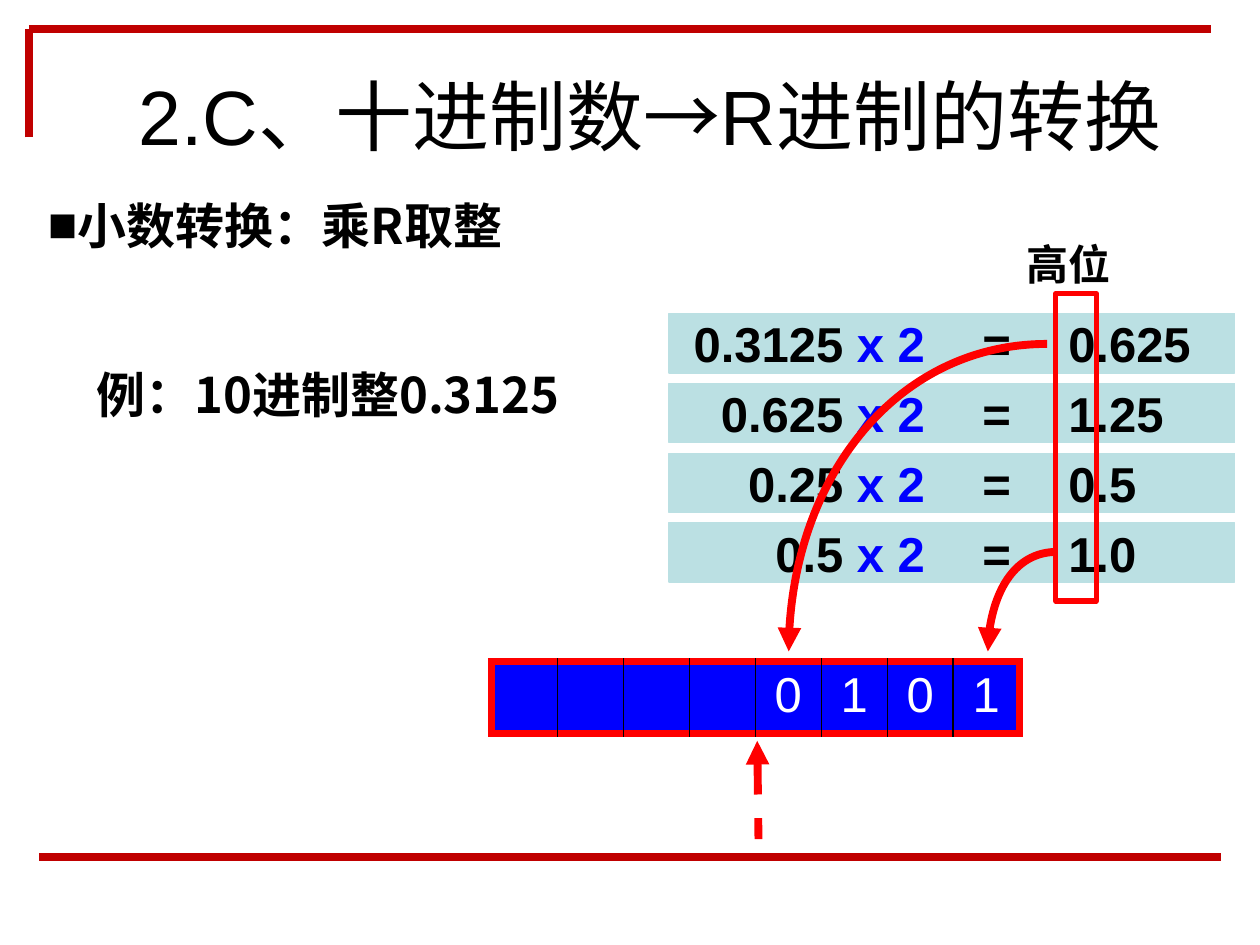
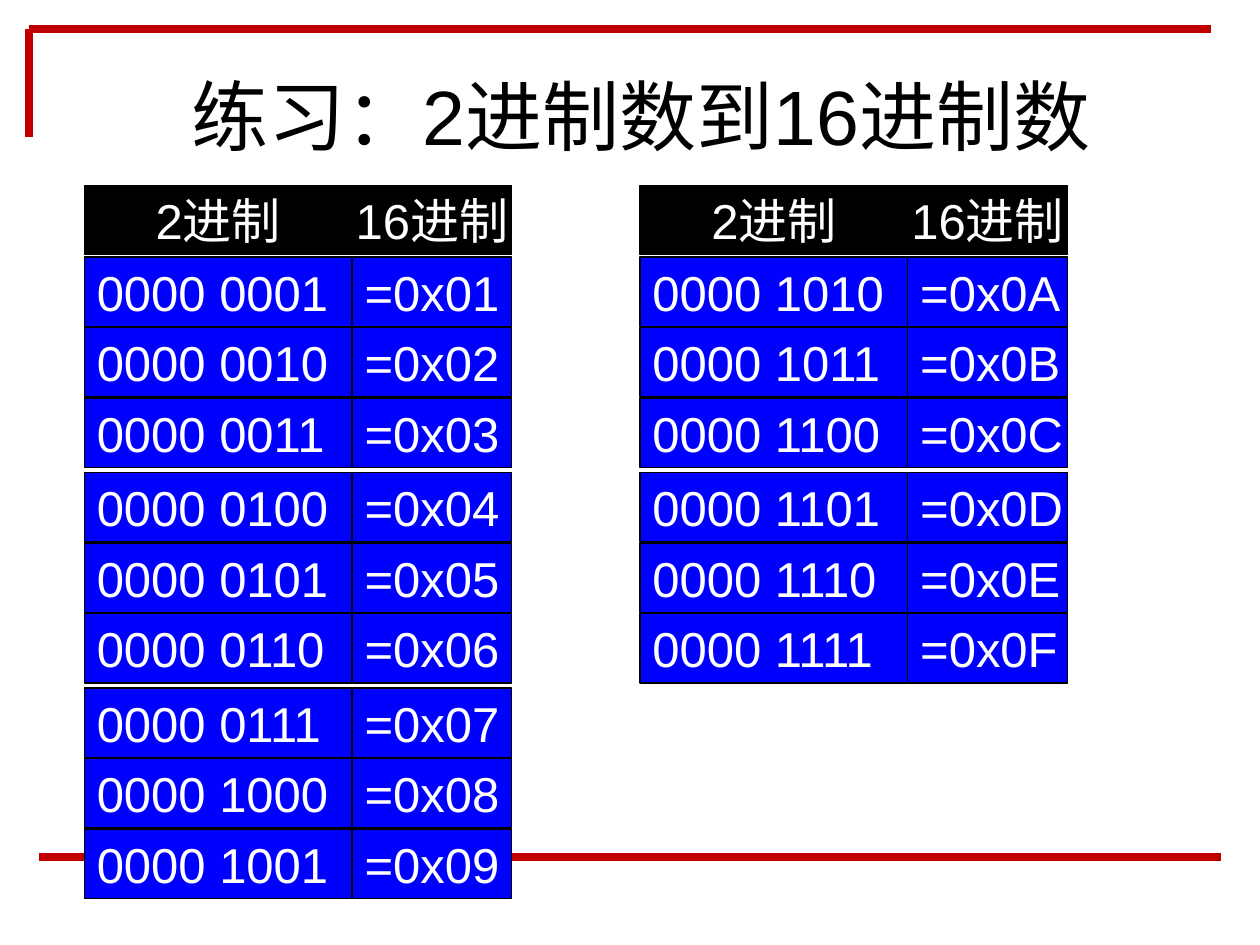
from lxml.etree import SubElement
from pptx import Presentation
from pptx.dml.color import RGBColor
from pptx.enum.dml import MSO_LINE
from pptx.enum.shapes import MSO_CONNECTOR as Connector, MSO_SHAPE as Preset
from pptx.enum.text import MSO_ANCHOR as Anchor, MSO_AUTO_SIZE as AutoSize, PP_ALIGN as Align
from pptx.oxml.ns import qn
from pptx.util import Inches, Pt

BLACK, WHITE, BLUE, RED = "000000", "FFFFFF", "0000FF", "FF0000"
FRAME_RED, PALE_TEAL = "C00000", "BBE0E3"
LATIN, CHINESE = "Arial", "Noto Sans CJK SC"
THICK = 4.5


def color(value):
    return RGBColor.from_string(value)


def inches(*lengths):
    return [Inches(length) for length in lengths]


def place(shape, box):
    shape.left, shape.top, shape.width, shape.height = inches(*box)


def add_span(para, text, size, ink=BLACK, font=LATIN, bold=False):
    span = para.add_run()
    span.text = text
    span.font.size = Pt(size)
    span.font.name = font
    span.font.bold = bold
    span.font.color.rgb = color(ink)
    SubElement(span.font._element, qn("a:ea"), typeface=CHINESE)


def prepare_text(shape, align=Align.LEFT, wrap=False):
    frame = shape.text_frame
    frame.auto_size = AutoSize.NONE
    frame.word_wrap = wrap
    frame.vertical_anchor = Anchor.MIDDLE
    para = frame.paragraphs[0]
    para.alignment = align
    para.space_before = Pt(0)
    return para


def style_line(shape, ink, width, arrow=None):
    shape.line.color.rgb = color(ink)
    shape.line.width = Pt(width)
    if arrow:
        outline = shape.line._get_or_add_ln()
        SubElement(outline, qn("a:" + arrow), type="triangle")


def add_line(page, start, end, ink, dash=None, arrow=None):
    line = page.shapes.add_connector(Connector.STRAIGHT, *inches(*start, *end))
    line.line.color.rgb = color(ink)
    if dash:
        line.line.dash_style = dash
    style_line(line, ink, THICK, arrow)
    SubElement(line.element.spPr, qn("a:effectLst"))
    return line


def add_box(shapes, box, fill, outline, width=0.75):
    shape = shapes.add_shape(Preset.RECTANGLE, *inches(*box))
    shape.shadow.inherit = False
    if fill:
        shape.fill.solid()
        shape.fill.fore_color.rgb = color(fill)
    else:
        shape.fill.background()
    style_line(shape, outline, width)
    return shape


def add_frame_to_master(deck, page):
    tree = deck.slide_master.placeholders[0].element.getparent()
    corner = (0.23, 0.23)
    for start, end in [((0.23, 1.09), corner), (corner, (9.61, 0.23)), ((0.31, 6.8), (9.69, 6.8))]:
        tree.append(add_line(page, start, end, FRAME_RED).element)


def set_title(page, box, spans):
    title = page.shapes.title
    place(title, box)
    para = prepare_text(title, Align.CENTER, wrap=True)
    for text, font in spans:
        add_span(para, text, 44, font=font)


def set_method(body, box, text):
    place(body, box)
    para = prepare_text(body)
    properties = para._p.get_or_add_pPr()
    properties.set("marL", "0")
    properties.set("indent", "0")
    SubElement(properties, qn("a:buChar"), char="■")
    add_span(para, text, 28, font=CHINESE, bold=True)


def add_example(page, box, text):
    label = page.shapes.add_textbox(*inches(*box))
    add_span(prepare_text(label), text, 28, font=CHINESE, bold=True)


def add_equation(page, box, factor, product):
    left, top, width, height = box
    factor_width, equals_width = 2.13, 0.94
    product_left = factor_width + equals_width
    parts = [
        (0, factor_width, Align.RIGHT, [(factor + " ", BLACK), ("x 2", BLUE)]),
        (product_left, width - product_left, Align.LEFT, [(product, BLACK)]),
        (factor_width, equals_width, Align.CENTER, [("=", BLACK)]),
    ]
    group = page.shapes.add_group_shape()
    for offset, part_width, align, spans in parts:
        part = add_box(group.shapes, (left + offset, top, part_width, height), PALE_TEAL, PALE_TEAL)
        para = prepare_text(part, align)
        for text, ink in spans:
            add_span(para, text, 28, ink, bold=True)


def add_equations(page, box, rows):
    left, top, width, height = box
    row_height = 0.47
    pitch = (height - row_height) / (len(rows) - 1)
    for index, (factor, product) in enumerate(rows):
        add_equation(page, (left, top + index * pitch, width, row_height), factor, product)


def add_digit_marker(page, box, label):
    left, top, width, height = box
    label_height = 0.47
    group = page.shapes.add_group_shape()
    caption = add_box(group.shapes, (left, top, width, label_height), WHITE, WHITE)
    caption.text_frame.margin_left = caption.text_frame.margin_right = 0
    add_span(prepare_text(caption), label, 24, bold=True)
    column = (left + 0.23, top + label_height, 0.32, height - label_height)
    add_box(group.shapes, column, None, RED, 3)


def add_curved_arrow(page, box):
    left, top, width, height = inches(*box)
    builder = page.shapes.build_freeform(left + width, top)
    builder.add_line_segments([(left, top + height)], close=False)
    curve = builder.convert_to_shape()
    curve.shadow.inherit = False
    curve.fill.background()
    style_line(curve, RED, THICK, "tailEnd")
    segment = next(curve.element.iter(qn("a:lnTo")))
    segment.tag = qn("a:cubicBezTo")
    controls = [(int(width * 0.44), 0), (0, int(height * 0.44))]
    for index, (x, y) in enumerate(controls):
        point = SubElement(segment, qn("a:pt"), x=str(x), y=str(y))
        segment.insert(index, point)


def set_borders(cell, borders):
    properties = cell._tc.get_or_add_tcPr()
    for index, (side, ink, width) in enumerate(borders):
        border = SubElement(properties, qn("a:ln" + side), w=str(Pt(width)))
        fill = SubElement(border, qn("a:solidFill"))
        SubElement(fill, qn("a:srgbClr"), val=ink)
        properties.insert(index, border)


def add_register(page, box, bits):
    table = page.shapes.add_table(1, len(bits), *inches(*box)).table
    table.first_row = table.horz_banding = False
    outer, inner = (RED, THICK), (BLACK, 1)
    last = len(bits) - 1
    for index, bit in enumerate(bits):
        table.columns[index].width = Inches(box[2] / len(bits))
        cell = table.cell(0, index)
        cell.fill.solid()
        cell.fill.fore_color.rgb = color(BLUE)
        set_borders(cell, [
            ("L", *(outer if index == 0 else inner)),
            ("R", *(outer if index == last else inner)),
            ("T", *outer),
            ("B", *outer),
        ])
        if bit:
            para = cell.text_frame.paragraphs[0]
            para.alignment = Align.CENTER
            add_span(para, bit, 28, WHITE)


def add_conversion_row(page, box, texts, fill, align):
    left, top, width, height = box
    binary_width = 2.125
    columns = [(left, binary_width), (left + binary_width, width - binary_width)]
    for (column_left, column_width), text in zip(columns, texts):
        cell = add_box(page.shapes, (column_left, top, column_width, height), fill, BLACK)
        add_span(prepare_text(cell, align), text, 28, WHITE)


def add_conversion_list(page, box, numbers):
    left, top, width, row_height = box
    add_conversion_row(page, box, ("2进制", "16进制"), BLACK, Align.CENTER)
    for index, number in enumerate(numbers):
        trio, place_in_trio = divmod(index, 3)
        row_top = top + 0.57 + trio * 1.71 + place_in_trio * 0.56
        texts = (f"0000 {number:04b}", f"=0x{number:02X}")
        add_conversion_row(page, (left, row_top, width, row_height), texts, BLUE, Align.LEFT)


def build_fraction_page(deck):
    page = deck.slides.add_slide(deck.slide_layouts[1])
    add_frame_to_master(deck, page)
    set_title(page, (0.67, 0.6, 8.98, 0.62), [
        ("2.C、十进制数", LATIN),
        ("→", CHINESE),
        ("R", LATIN),
        ("进制", CHINESE),
        ("的转换", LATIN),
    ])
    set_method(page.placeholders[1], (0.28, 1.39, 4.09, 0.79), "小数转换：乘R取整")
    add_register(page, (3.9, 5.25, 4.19, 0.57), [""] * 4 + list("0101"))
    add_equations(page, (5.31, 2.49, 4.49, 2.13), [
        ("0.3125", "0.625"),
        ("0.625", "1.25"),
        ("0.25", "0.5"),
        ("0.5", "1.0"),
    ])
    add_digit_marker(page, (8.15, 1.86, 0.71, 2.91), "高位")
    add_curved_arrow(page, (7.84, 4.38, 0.55, 0.79))
    add_curved_arrow(page, (6.26, 2.73, 2.05, 2.44))
    add_example(page, (0.67, 2.73, 4.17, 0.79), "例：10进制整0.3125")
    add_line(page, (6.01, 5.88), (6.02, 6.66), RED, MSO_LINE.DASH, "headEnd")


def build_exercise_page(deck):
    page = deck.slides.add_slide(deck.slide_layouts[5])
    set_title(page, (1.06, 0.6, 8.05, 0.62), [("练习：2进制数到16进制数", LATIN)])
    add_conversion_list(page, (0.67, 1.47, 3.39, 0.55), range(1, 10))
    add_conversion_list(page, (5.08, 1.47, 3.39, 0.55), range(10, 16))


deck = Presentation()
deck.slide_width, deck.slide_height = inches(10, 7.5)
build_fraction_page(deck)
build_exercise_page(deck)
deck.save("out.pptx")
